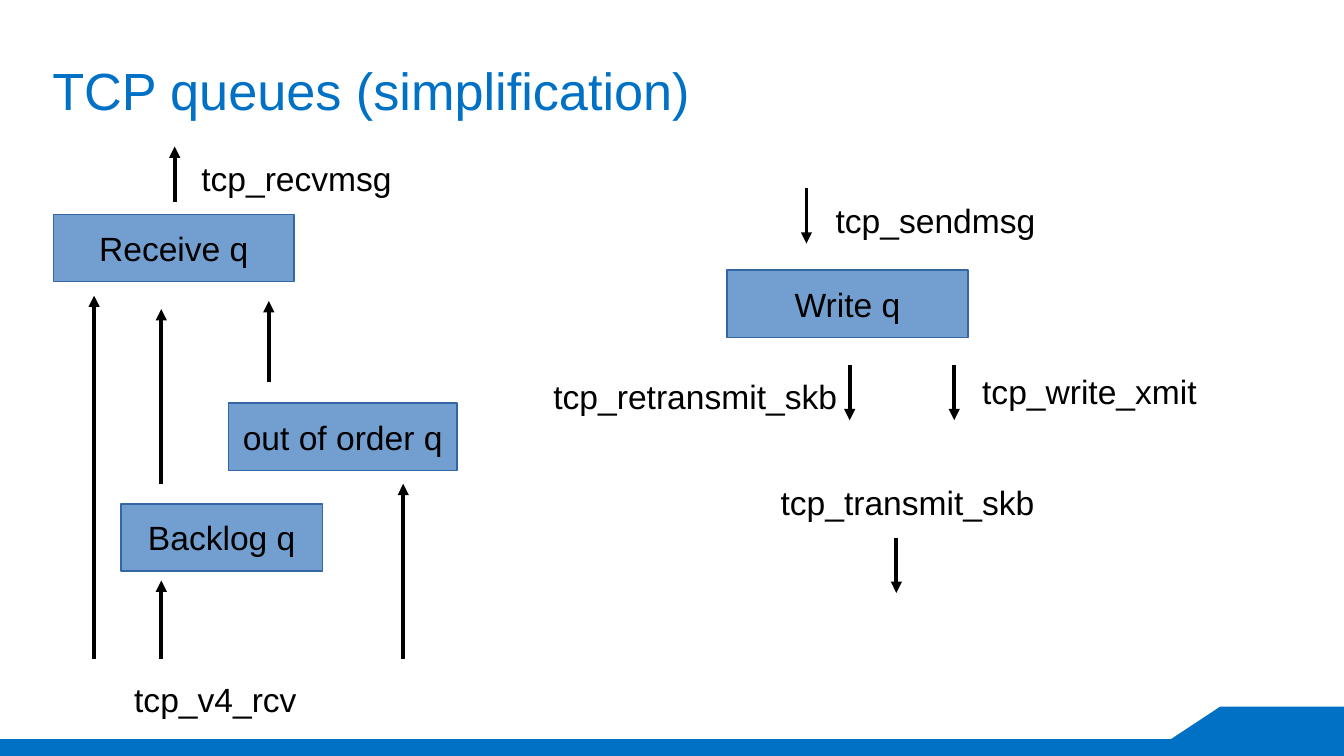
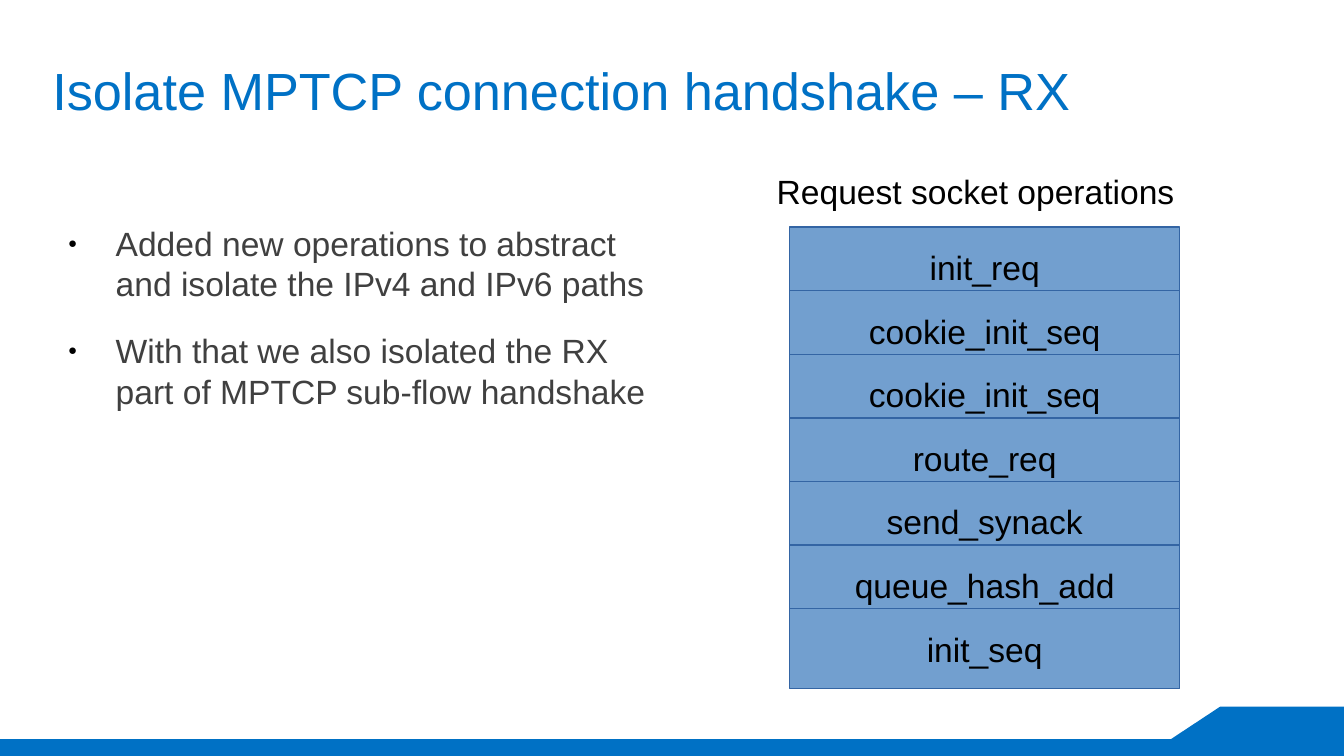
from lxml import etree
from pptx import Presentation
from pptx.dml.color import RGBColor
from pptx.enum import shapes, text
from pptx.oxml import ns
from pptx.util import Pt

BLUE = RGBColor(0x00, 0x71, 0xC5)
BOX_FILL = RGBColor(0x72, 0x9F, 0xCF)
BOX_LINE = RGBColor(0x34, 0x65, 0xA4)
BLACK = RGBColor(0x00, 0x00, 0x00)
GREY = RGBColor(0x40, 0x40, 0x40)
FONT = "Arial"
TITLE_SIZE, TEXT_SIZE = 28, 18
W, H = 720, 405
BAND = [(653.8, 378.5), (W, 378.5), (W, H), (0, H), (0, 396), (627.3, 396)]


def add_xml(parent, tag, **attrs):
    return etree.SubElement(parent, ns.qn(tag), attrs)


class Deck:
    """Shared style and the slide being filled."""

    def __init__(self):
        self.prs = Presentation()
        self.prs.slide_width, self.prs.slide_height = Pt(W), Pt(H)
        self.s = None

    def slide(self, title):
        self.s = self.prs.slides.add_slide(self.prs.slide_layouts[5])
        self.band()
        sp = self.s.shapes.title
        sp.left, sp.top, sp.width, sp.height = Pt(28), Pt(18), Pt(664.6), Pt(60.5)
        tf = self.frame(sp, text.MSO_ANCHOR.MIDDLE, wrap=True, inset=False)
        self.run(tf.paragraphs[0], title, TITLE_SIZE, BLUE)

    def band(self):
        points = [(Pt(x), Pt(y)) for x, y in BAND]
        builder = self.s.shapes.build_freeform(*points[0])
        builder.add_line_segments(points[1:], close=True)
        sp = builder.convert_to_shape()
        sp.shadow.inherit = False
        sp.fill.solid()
        sp.fill.fore_color.rgb = BLUE
        sp.line.fill.background()

    def frame(self, sp, anchor, wrap=False, inset=True):
        tf = sp.text_frame
        tf.auto_size = text.MSO_AUTO_SIZE.NONE
        tf.word_wrap = wrap
        tf.vertical_anchor = anchor
        tf.margin_left = tf.margin_right = Pt(7.2 if inset else 0)
        tf.margin_top = tf.margin_bottom = Pt(3.6 if inset else 0)
        return tf

    def run(self, p, words, size=TEXT_SIZE, color=BLACK, align=text.PP_ALIGN.LEFT):
        p.alignment = align
        r = p.add_run()
        r.text = words
        r.font.name, r.font.size = FONT, Pt(size)
        r.font.color.rgb = color

    def box(self, words, x, y, w, h=36):
        sp = self.s.shapes.add_shape(shapes.MSO_SHAPE.RECTANGLE, Pt(x), Pt(y), Pt(w), Pt(h))
        sp.shadow.inherit = False
        sp.fill.solid()
        sp.fill.fore_color.rgb = BOX_FILL
        sp.line.color.rgb = BOX_LINE
        sp.line.width = Pt(0)
        tf = self.frame(sp, text.MSO_ANCHOR.MIDDLE)
        self.run(tf.paragraphs[0], words, align=text.PP_ALIGN.CENTER)

    def label(self, words, x, y, w):
        sp = self.s.shapes.add_textbox(Pt(x), Pt(y), Pt(w), Pt(27.4))
        tf = self.frame(sp, text.MSO_ANCHOR.TOP)
        self.run(tf.paragraphs[0], words)

    def arrow(self, x, start, tip):
        cx = self.s.shapes.add_connector(
            shapes.MSO_CONNECTOR.STRAIGHT, Pt(x), Pt(start), Pt(x), Pt(tip))
        cx.line.color.rgb = BLACK
        cx.line.width = Pt(0)
        sp_pr = cx.line._get_or_add_ln().getparent()
        add_xml(cx.line._get_or_add_ln(), "a:tailEnd", type="triangle")
        add_xml(sp_pr, "a:effectLst")

    def bullets(self, items, x, y, w, h):
        sp = self.s.shapes.add_textbox(Pt(x), Pt(y), Pt(w), Pt(h))
        tf = self.frame(sp, text.MSO_ANCHOR.TOP, wrap=True, inset=False)
        for i, item in enumerate(items):
            p = tf.add_paragraph() if i else tf.paragraphs[0]
            p.space_after = Pt(14.2)
            p_pr = p._p.get_or_add_pPr()
            p_pr.set("marL", str(Pt(34)))
            p_pr.set("indent", str(-Pt(25.5)))
            add_xml(add_xml(p_pr, "a:buClr"), "a:srgbClr", val=str(BLACK))
            add_xml(p_pr, "a:buSzPct", val="45000")
            add_xml(p_pr, "a:buFont", typeface=FONT)
            add_xml(p_pr, "a:buChar", char="●")
            self.run(p, item, color=GREY)


def queues_slide(deck):
    deck.slide("TCP queues (simplification)")

    # Receive side
    deck.box("Backlog q", 64.8, 270, 108)
    deck.box("Receive q", 28.6, 115, 129)
    deck.box("out of order q", 122.4, 216, 122.4)
    deck.label("tcp_v4_rcv", 64.8, 360, 101.5)
    deck.label("tcp_recvmsg", 100.8, 80.8, 116)
    source = 352.8
    for x, start, tip in [(86.4, source, 311), (216, source, 259.2), (50.4, source, 158.4),
                          (86.4, 259.2, 165.6), (144, 204.5, 161.3), (93.6, 108, 78.5)]:
        deck.arrow(x, start, tip)

    # Send side
    deck.box("Write q", 389.5, 144.7, 129)
    deck.label("tcp_sendmsg", 440.6, 103.7, 121)
    deck.label("tcp_write_xmit", 519.1, 195.4, 129.6)
    deck.label("tcp_retransmit_skb", 289.4, 198, 166.3)
    deck.label("tcp_transmit_skb", 411.1, 254.9, 150.5)
    for x, start in [(432, 100.8), (511.2, 195.4), (455.2, 195.4), (480.2, 288)]:
        deck.arrow(x, start, start + 29.7)


def handshake_slide(deck):
    deck.slide("Isolate MPTCP connection handshake – RX")
    deck.bullets([
        "Added new operations to abstract and isolate the IPv4 and IPv6 paths",
        "With that we also isolated the RX part of MPTCP sub-flow handshake",
    ], 28, 119.5, 332, 242)

    # Overlapping stack of operations
    deck.label("Request socket operations", 409, 87.8, 227.5)
    operations = ["init_req", "cookie_init_seq", "cookie_init_seq", "route_req",
                  "send_synack", "queue_hash_add", "init_seq"]
    for i, name in enumerate(operations):
        deck.box(name, 423, 121.7 + 34.05 * i, 209, 43)


def main():
    deck = Deck()
    queues_slide(deck)
    handshake_slide(deck)
    deck.prs.save("out.pptx")


if __name__ == "__main__":
    main()
